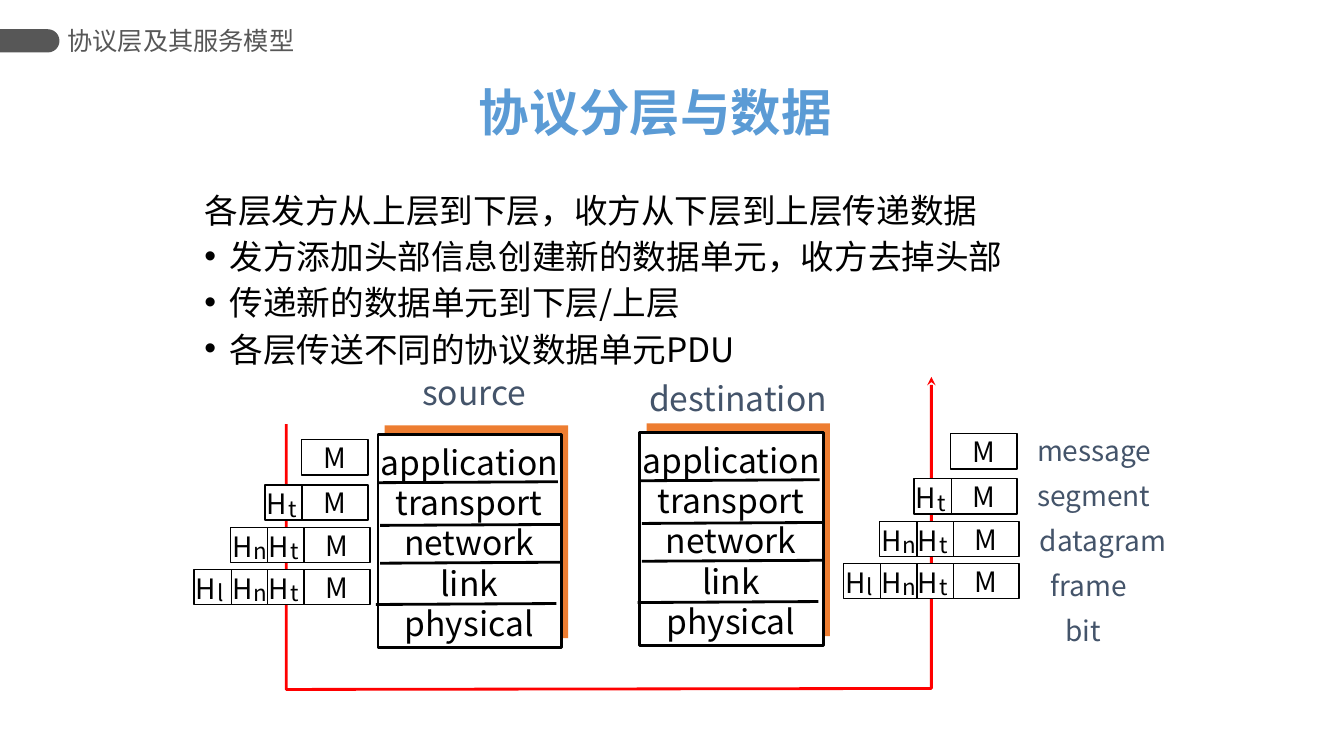
"""Build a slide on protocol layering and the data units passed between layers."""
from lxml.etree import SubElement
from pptx import Presentation
from pptx.dml.color import RGBColor
from pptx.enum.shapes import MSO_CONNECTOR, MSO_SHAPE
from pptx.enum.text import MSO_ANCHOR, MSO_AUTO_SIZE, PP_ALIGN
from pptx.oxml.ns import qn
from pptx.util import Pt

FONT = "Noto Sans CJK SC"
BLACK = RGBColor(0x00, 0x00, 0x00)
WHITE = RGBColor(0xFF, 0xFF, 0xFF)
GRAY = RGBColor(0x57, 0x57, 0x57)
BLUE = RGBColor(0x5B, 0x9B, 0xD5)
ORANGE = RGBColor(0xED, 0x7D, 0x31)
SLATE = RGBColor(0x44, 0x54, 0x6A)
RED = RGBColor(0xFF, 0x00, 0x00)

SECTION = "协议层及其服务模型"
TITLE = "协议分层与数据"
INTRO = "各层发方从上层到下层，收方从下层到上层传递数据"
BULLETS = [
    "发方添加头部信息创建新的数据单元，收方去掉头部",
    "传递新的数据单元到下层/上层",
    "各层传送不同的协议数据单元PDU",
]
LAYERS = ["application", "transport", "network", "link", "physical"]
DIVIDERS = [(-0.5, 34.5), (1.5, 65), (1.5, 92), (-1.5, 121.5)]
STACKS = [(270, 310.3), (457, 308.9)]
HOSTS = [("source", 294.5, 262), ("destination", 456.5, 266.4)]
UNIT_ROWS = [(215.3, 314, ""), (215.3, 346.3, "t"), (216.7, 376.6, "tn"), (216.7, 406.8, "tnl")]
UNIT_SIDES = [(0, 0), (463.7, -4.3)]
UNIT_NAMES = [("message", 733.7), ("segment", 733.7), ("datagram", 735.8),
              ("frame", 743), ("bit", 753.8)]
NAMES_TOP, NAMES_STEP = 306, 32.1
ROUTE = [(204.5, 303), (204.5, 492.5), (665.3, 491.8), (665.3, 269.3)]
LAYER_W, LAYER_H = 131, 152
UNIT_W, HEADER_W, HEADER_STEP, CELL_H = 47.5, 26.6, 26, 25.2


def write(sp, text, size=20, color=BLACK, bold=False, align=PP_ALIGN.LEFT,
          anchor=MSO_ANCHOR.TOP, spacing=1.0, before=0, bullets=False, wrap=True, side=7.2):
    """Put text into a shape, one paragraph for each line."""
    tf = sp.text_frame
    tf.auto_size = MSO_AUTO_SIZE.NONE
    tf.word_wrap = wrap
    tf.vertical_anchor = anchor
    tf.margin_left = tf.margin_right = Pt(side)
    tf.margin_top = tf.margin_bottom = Pt(3.6)
    for i, line in enumerate(text.split("\n")):
        p = tf.paragraphs[0] if i == 0 else tf.add_paragraph()
        p.alignment = align
        p.line_spacing = spacing
        p.space_before = Pt(before if i else 0)
        if bullets:
            pPr = p._p.get_or_add_pPr()
            pPr.set("marL", str(Pt(18)))
            pPr.set("indent", str(Pt(-18)))
            if i:
                SubElement(pPr, qn("a:buFont")).set("typeface", "Arial")
                SubElement(pPr, qn("a:buChar")).set("char", "•")
            else:
                SubElement(pPr, qn("a:buNone"))
        r = p.add_run()
        r.text = line
        r.font.size = Pt(size)
        r.font.bold = bold
        r.font.color.rgb = color
        r.font.name = FONT
        SubElement(r._r.get_or_add_rPr(), qn("a:ea")).set("typeface", FONT)


def add_text(s, text, x, y, w, h, **fmt):
    write(s.shapes.add_textbox(Pt(x), Pt(y), Pt(w), Pt(h)), text, **fmt)


def add_box(s, x, y, w, h, fill=WHITE, line=1, kind=MSO_SHAPE.RECTANGLE):
    sp = s.shapes.add_shape(kind, Pt(x), Pt(y), Pt(w), Pt(h))
    sp.shadow.inherit = False
    sp.fill.solid()
    sp.fill.fore_color.rgb = fill
    if line:
        sp.line.color.rgb = BLACK
        sp.line.width = Pt(line)
    else:
        sp.line.fill.background()
    return sp


def add_stack(s, x, y):
    add_box(s, x + 4.8, y - 6.5, LAYER_W, LAYER_H, fill=ORANGE, line=0)
    add_box(s, x, y, LAYER_W, LAYER_H, line=2)
    for dx, dy in DIVIDERS:
        ln = s.shapes.add_connector(MSO_CONNECTOR.STRAIGHT, Pt(x + dx), Pt(y + dy),
                                    Pt(x + dx + 129), Pt(y + dy - 0.7))
        ln.line.color.rgb = BLACK
        ln.line.width = Pt(2)
        SubElement(ln._element.spPr, qn("a:effectLst"))
    add_text(s, "\n".join(LAYERS), x - 6.5, y + 1.6, 143.3, 152.6, size=24,
             align=PP_ALIGN.CENTER, wrap=False)


def add_route(s):
    fb = s.shapes.build_freeform(Pt(ROUTE[0][0]), Pt(ROUTE[0][1]))
    fb.add_line_segments([(Pt(x), Pt(y)) for x, y in ROUTE[1:]], close=False)
    sp = fb.convert_to_shape()
    sp.shadow.inherit = False
    sp.fill.background()
    sp.line.color.rgb = RED
    sp.line.width = Pt(2)
    SubElement(sp.line._get_or_add_ln(), qn("a:tailEnd")).set("type", "stealth")


def add_unit(s, x, y, headers):
    write(add_box(s, x, y, UNIT_W, CELL_H), "M", align=PP_ALIGN.CENTER,
          anchor=MSO_ANCHOR.MIDDLE, wrap=False)
    for i, header in enumerate(headers, 1):
        left = x - i * HEADER_STEP
        add_box(s, left, y, HEADER_W, CELL_H)
        add_text(s, "H", left - 5.8, y - 2.2, 24.5, 31.7)
        add_text(s, header, left + 9.4, y + 3.6, 23, 26.6, size=16)


def main():
    prs = Presentation()
    prs.slide_width, prs.slide_height = Pt(960), Pt(540)
    s = prs.slides.add_slide(prs.slide_layouts[5])

    title = s.shapes.title
    title.left, title.top, title.width, title.height = Pt(162), Pt(59), Pt(612), Pt(46.8)
    write(title, TITLE, size=36, color=BLUE, bold=True, align=PP_ALIGN.CENTER,
          anchor=MSO_ANCHOR.MIDDLE, spacing=0.9)

    tab = add_box(s, 12.95, 7.95, 16.6, 42.5, fill=GRAY, line=0,
                  kind=MSO_SHAPE.ROUND_2_SAME_RECTANGLE)
    tab.adjustments[0] = 0.5
    tab.rotation = 90
    add_text(s, SECTION, 48.2, 13.7, 168, 30.2, size=18, color=GRAY,
             anchor=MSO_ANCHOR.MIDDLE, side=0)
    add_text(s, "\n".join([INTRO] + BULLETS), 139, 137.5, 744.5, 135.4, size=24,
             spacing=0.8, before=10, bullets=True)

    for x, y in STACKS:
        add_stack(s, x, y)
    for name, x, y in HOSTS:
        add_text(s, name, x, y, 145, 36.7, size=24, color=SLATE)
    add_route(s)
    for dx, dy in UNIT_SIDES:
        for x, y, headers in UNIT_ROWS:
            add_unit(s, x + dx, y + dy, headers)
    for i, (name, x) in enumerate(UNIT_NAMES):
        add_text(s, name, x, NAMES_TOP + i * NAMES_STEP, 108, 31.7, color=SLATE)

    prs.save("out.pptx")


if __name__ == "__main__":
    main()
